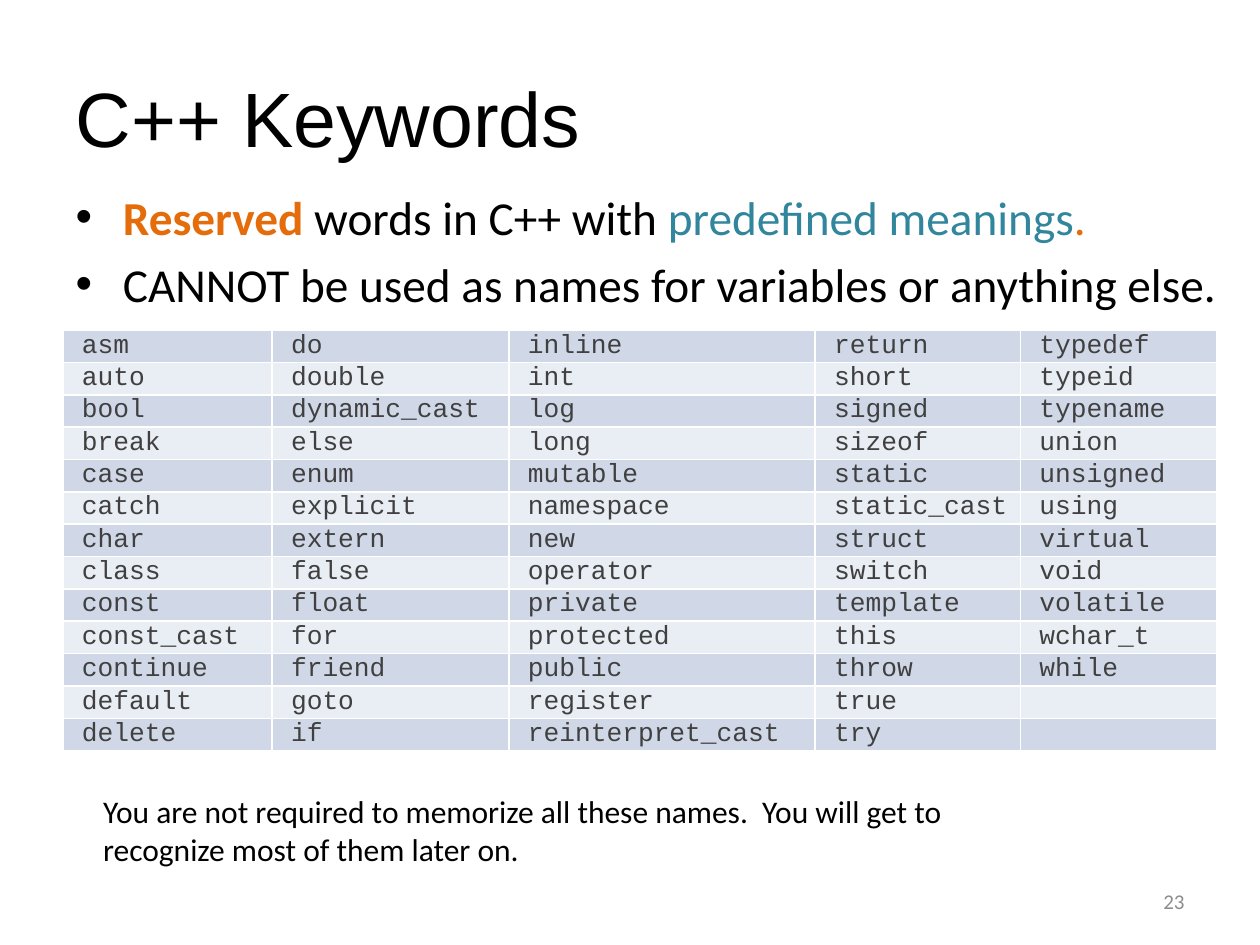
from lxml import etree
from pptx import Presentation
from pptx.dml.color import RGBColor
from pptx.enum.text import MSO_ANCHOR, MSO_AUTO_SIZE, PP_ALIGN
from pptx.oxml.ns import qn
from pptx.util import Inches, Pt

LEFT, RIGHT = PP_ALIGN.LEFT, PP_ALIGN.RIGHT
TOP, MIDDLE = MSO_ANCHOR.TOP, MSO_ANCHOR.MIDDLE
NO_AUTOFIT = MSO_AUTO_SIZE.NONE

COLORS = {
    "black": "000000", "white": "FFFFFF", "orange": "E46C0A", "teal": "31859C",
    "gray": "8C8C8C", "code": "404040", "odd_row": "D0D8E8", "even_row": "E9EDF4",
}

KEYWORD_COLUMNS = [
    "asm auto bool break case catch char class const const_cast continue default delete",
    "do double dynamic_cast else enum explicit extern false float for friend goto if",
    "inline int log long mutable namespace new operator private protected public "
    "register reinterpret_cast",
    "return short signed sizeof static static_cast struct switch template this throw true try",
    "typedef typeid typename union unsigned using virtual void volatile wchar_t while",
]


def add_text(paragraph, text, size=18, font="Calibri", color="black", bold=False):
    run = paragraph.add_run()
    run.text = text
    run.font.size = Pt(size)
    run.font.name = font
    run.font.bold = bold
    run.font.color.rgb = RGBColor.from_string(COLORS[color])


def add_color(parent, name):
    etree.SubElement(parent, qn("a:srgbClr"), val=COLORS[name])


class SlideBuilder:
    """Holds the slide and the shared style of its elements."""

    code_style = {"size": 15, "font": "Courier New", "color": "code"}
    cell_margins = (0.15, 0.01, 0.1, 0.01)
    bullet_size = 27  # keeps each bullet on one line above the table

    def __init__(self, slide):
        self.slide = slide

    def place(self, shape, left, top, width, height, anchor=TOP):
        shape.left, shape.top = Inches(left), Inches(top)
        shape.width, shape.height = Inches(width), Inches(height)
        frame = shape.text_frame
        frame.word_wrap = True
        frame.auto_size = NO_AUTOFIT
        frame.vertical_anchor = anchor
        return frame

    def title(self, text, *box):
        frame = self.place(self.slide.shapes.title, *box, anchor=MIDDLE)
        frame.paragraphs[0].alignment = LEFT
        add_text(frame.paragraphs[0], text, size=44, font="Arial")

    def bullets(self, items, *box):
        frame = self.place(self.slide.placeholders[1], *box)
        for index, parts in enumerate(items):
            paragraph = frame.add_paragraph() if index else frame.paragraphs[0]
            bullet_color = etree.SubElement(
                paragraph._p.get_or_add_pPr(), qn("a:buClr"))
            add_color(bullet_color, "black")
            paragraph.space_before = Pt(6 if index else 0)
            for text, style in parts:
                add_text(paragraph, text, size=self.bullet_size, **style)

    def text_box(self, text, *box, align=LEFT, anchor=TOP, **style):
        shape = self.slide.shapes.add_textbox(0, 0, 0, 0)
        frame = self.place(shape, *box, anchor=anchor)
        frame.paragraphs[0].alignment = align
        add_text(frame.paragraphs[0], text, **style)

    def fill_cell(self, cell, text, fill):
        margins = [Inches(margin) for margin in self.cell_margins]
        (cell.margin_left, cell.margin_top,
         cell.margin_right, cell.margin_bottom) = margins
        cell.vertical_anchor = MIDDLE
        paragraph = cell.text_frame.paragraphs[0]
        if text:
            add_text(paragraph, text, **self.code_style)
        else:
            # An empty cell keeps the code size so that its row stays low
            end = etree.SubElement(paragraph._p, qn("a:endParaRPr"),
                                   sz=str(self.code_style["size"] * 100))
            etree.SubElement(end, qn("a:latin"), typeface=self.code_style["font"])
        # Borders come before the fill in the cell properties
        properties = cell._tc.get_or_add_tcPr()
        for side in ("lnL", "lnR", "lnT", "lnB"):
            line = etree.SubElement(properties, qn("a:" + side), w=str(Pt(1)))
            add_color(etree.SubElement(line, qn("a:solidFill")), "white")
        cell.fill.solid()
        cell.fill.fore_color.rgb = RGBColor.from_string(COLORS[fill])

    def table(self, columns, widths, left, top, height, row_height):
        row_count = max(len(column) for column in columns)
        shape = self.slide.shapes.add_table(
            row_count, len(columns), Inches(left), Inches(top),
            Inches(sum(widths)), Inches(height))
        table = shape.table
        table.first_row = table.horz_banding = False
        for column, width in zip(table.columns, widths):
            column.width = Inches(width)
        for row_index, row in enumerate(table.rows):
            row.height = Inches(row_height)
            fill = "even_row" if row_index % 2 else "odd_row"
            for cell, words in zip(row.cells, columns):
                text = words[row_index] if row_index < len(words) else ""
                self.fill_cell(cell, text, fill)
        shape.height = Inches(height)


def main():
    presentation = Presentation()
    presentation.slide_width, presentation.slide_height = Inches(10), Inches(7.5)
    slide = presentation.slides.add_slide(presentation.slide_layouts[1])
    builder = SlideBuilder(slide)

    # Title and rules about keywords
    builder.title("C++ Keywords", 0.5, 0.3, 9, 1.25)
    builder.bullets([
        [("Reserved", {"color": "orange", "bold": True}),
         (" words in C++ with ", {}),
         ("predefined meanings", {"color": "teal"}),
         (".", {"color": "orange"})],
        [("CANNOT be used as names for variables or anything else.", {})],
    ], 0.5, 1.44, 9.5, 1.18)

    # Slide number
    builder.text_box("23", 7.17, 6.95, 2.33, 0.4, align=RIGHT, anchor=MIDDLE,
                     size=12, color="gray")

    # Keyword table, listed column by column
    builder.table([words.split() for words in KEYWORD_COLUMNS],
                  widths=[1.66, 1.88, 2.43, 1.63, 1.56],
                  left=0.5, top=2.62, height=3.51, row_height=0.16)

    # Closing note
    builder.text_box("You are not required to memorize all these names.  You will "
                     "get to recognize most of them later on.",
                     0.72, 6.24, 7.1, 0.71)

    presentation.save("out.pptx")


if __name__ == "__main__":
    main()
